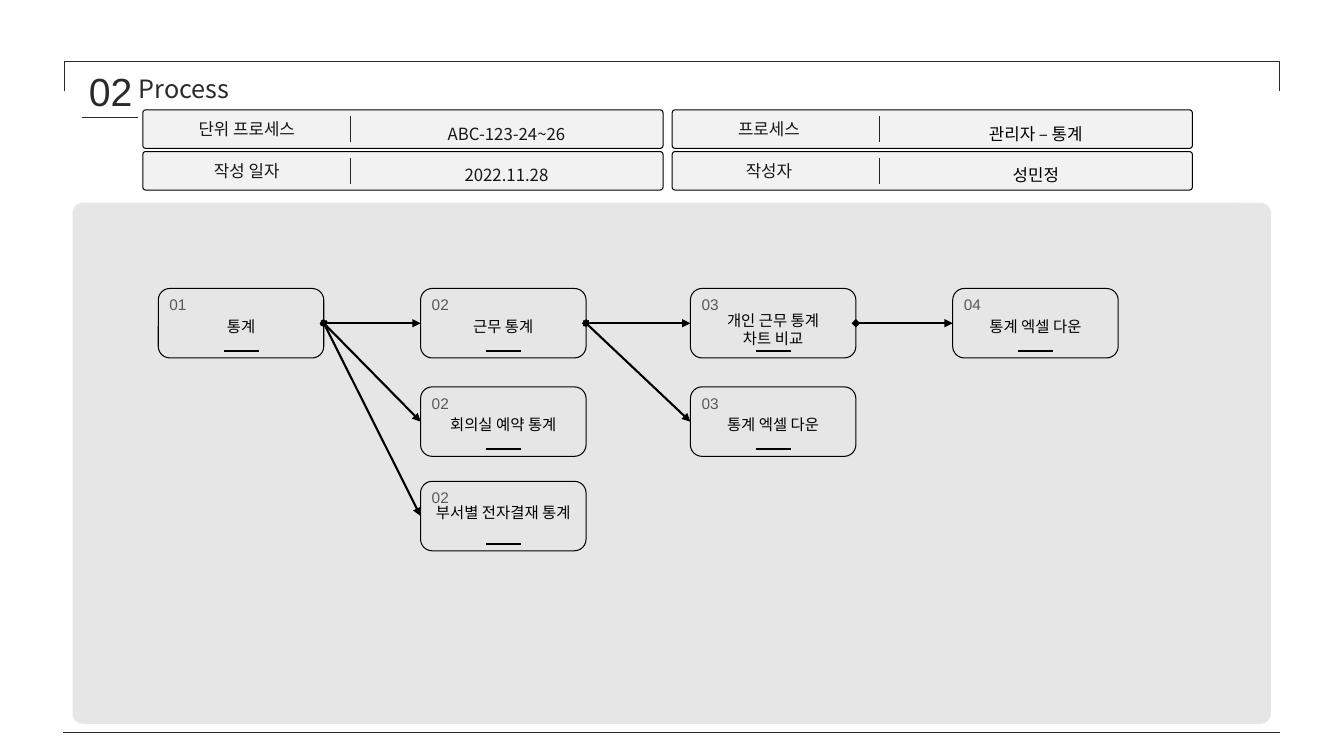
from lxml.etree import SubElement
from pptx import Presentation
from pptx.dml.color import RGBColor
from pptx.enum.shapes import MSO_CONNECTOR, MSO_SHAPE
from pptx.enum.text import MSO_ANCHOR, MSO_AUTO_SIZE, PP_ALIGN
from pptx.oxml.ns import qn
from pptx.util import Cm, Pt

BLACK = RGBColor(0x00, 0x00, 0x00)
INK = RGBColor(0x2A, 0x2A, 0x2A)
LABEL_INK = RGBColor(0x18, 0x17, 0x17)
DIVIDER = RGBColor(0x24, 0x24, 0x24)
NUMBER_GREY = RGBColor(0x59, 0x59, 0x59)
PANEL_GREY = RGBColor(0xE7, 0xE6, 0xE6)
CELL_GREY = RGBColor(0xF2, 0xF2, 0xF2)

HANGUL = "Noto Sans CJK KR"
LATIN = "Arial"
INSETS = (0.25, 0.13, 0.25, 0.13)
RIGHT_SITE, LEFT_SITE = 3, 1


class ProcessSlide:
    """Draws on one slide; all lengths are in centimetres."""

    def __init__(self, deck):
        self.slide = deck.slides.add_slide(deck.slide_layouts[5])
        self.shapes = self.slide.shapes

    def fill_text(self, frame, lines, size, font, color, align=PP_ALIGN.LEFT,
                  spacing=1.0, insets=INSETS):
        frame.word_wrap = True
        frame.auto_size = MSO_AUTO_SIZE.SHAPE_TO_FIT_TEXT
        frame.vertical_anchor = MSO_ANCHOR.TOP
        (frame.margin_left, frame.margin_top,
         frame.margin_right, frame.margin_bottom) = map(Cm, insets)
        for index, line in enumerate(lines):
            paragraph = frame.add_paragraph() if index else frame.paragraphs[0]
            paragraph.alignment = align
            paragraph.line_spacing = spacing
            run = paragraph.add_run()
            run.text = line
            run.font.size = Pt(size)
            run.font.name = font
            run.font.color.rgb = color
            SubElement(run.font._element, qn("a:ea"), typeface=HANGUL)

    def title(self, text, x, y, w, h):
        heading = self.shapes.title
        heading.left, heading.top, heading.width, heading.height = map(Cm, (x, y, w, h))
        self.fill_text(heading.text_frame, [text], 18, HANGUL, INK,
                       insets=(0.1, 0.05, 0.3, 0.05))

    def text(self, lines, x, y, w, h, *style, **options):
        box = self.shapes.add_textbox(*map(Cm, (x, y, w, h)))
        self.fill_text(box.text_frame, lines, *style, **options)

    def shape(self, kind, x, y, w, h, fill=None, line=None, adjust=None):
        outline = self.shapes.add_shape(kind, *map(Cm, (x, y, w, h)))
        outline.shadow.inherit = False
        if adjust is not None:
            outline.adjustments[0] = adjust
        if fill is None:
            outline.fill.background()
        else:
            outline.fill.solid()
            outline.fill.fore_color.rgb = fill
        if line is None:
            outline.line.fill.background()
        else:
            outline.line.color.rgb = line
            outline.line.width = Pt(0.75)
        return outline

    def line(self, x1, y1, x2, y2, color=INK, width=0.75):
        rule = self.shapes.add_connector(MSO_CONNECTOR.STRAIGHT,
                                         *map(Cm, (x1, y1, x2, y2)))
        rule.line.color.rgb = color
        rule.line.width = Pt(width)
        SubElement(rule._element.spPr, qn("a:effectLst"))
        return rule

    def arrow(self, source, target):
        link = self.line(0, 0, 1, 1, BLACK, 1.5)
        link.begin_connect(source, RIGHT_SITE)
        link.end_connect(target, LEFT_SITE)
        stroke = link._element.spPr.find(qn("a:ln"))
        SubElement(stroke, qn("a:headEnd"), type="diamond")
        SubElement(stroke, qn("a:tailEnd"), type="triangle")

    def info_cell(self, x, y, label, value, label_dx, value_color):
        self.shape(MSO_SHAPE.ROUNDED_RECTANGLE, x, y, 13.11, 0.97,
                   CELL_GREY, BLACK, 0.075)
        self.text([label], x + label_dx, y + 0.02, 4.22, 0.84, 12, HANGUL,
                  LABEL_INK, align=PP_ALIGN.CENTER, spacing=1.14)
        self.line(x + 5.23, y + 0.15, x + 5.23, y + 0.82, DIVIDER)
        self.text([value], x + 5.57, y + 0.06, 7.19, 0.91, 12, HANGUL,
                  value_color, align=PP_ALIGN.CENTER, spacing=1.3)

    def step(self, x, y, number, lines, text_dy):
        box = self.shape(MSO_SHAPE.ROUNDED_RECTANGLE, x, y, 4.17, 1.75, line=BLACK)
        self.text([number], x + 0.03, y + 0.04, 1.55, 0.74, 11, LATIN, NUMBER_GREY)
        self.line(x + 1.65, y + 1.57, x + 2.53, y + 1.57, BLACK, 1.5)
        self.text(lines, x, y + text_dy, 4.17, 0.74, 11, LATIN, BLACK,
                  align=PP_ALIGN.CENTER)
        return box


def main():
    deck = Presentation()
    deck.slide_width, deck.slide_height = Cm(33.87), Cm(19.05)
    page = ProcessSlide(deck)

    # Panel and page frame
    page.shape(MSO_SHAPE.ROUNDED_RECTANGLE, 1.83, 5.11, 30.2, 13.13,
               PANEL_GREY, adjust=0.02)
    frame_top = page.shape(MSO_SHAPE.RIGHT_BRACKET, 16.56, -13.39, 0.76, 30.63,
                           line=INK, adjust=0)
    frame_top.rotation = 270
    page.line(1.6, 18.47, 32.26, 18.47)

    # Heading
    page.title("Process", 3.4, 1.8, 3.2, 0.86)
    page.text(["02"], 2.24, 1.7, 1.24, 2.01, 28, LATIN, INK, insets=(0, 0, 0, 0))
    page.line(2.06, 2.97, 3.48, 2.97)

    # Document facts: two columns of two cells
    fact_columns = [
        (3.6, 0.51, LABEL_INK, [("단위 프로세스", "ABC-123-24~26"),
                                ("작성 일자", "2022.11.28")]),
        (16.94, 0.33, BLACK, [("프로세스", "관리자 – 통계"),
                              ("작성자", "성민정")]),
    ]
    for x, label_dx, value_color, facts in fact_columns:
        for row, (label, value) in enumerate(facts):
            page.info_cell(x, 2.77 + 1.05 * row, label, value, label_dx, value_color)

    # Process steps: column, row, lines, text offset
    column_x = [3.99, 10.6, 17.4, 24.01]
    row_y = [7.27, 9.75, 12.13]
    steps = {
        "stats": (0, 0, ["통계"], 0.58),
        "work": (1, 0, ["근무 통계"], 0.58),
        "rooms": (1, 1, ["회의실 예약 통계"], 0.58),
        "approvals": (1, 2, ["부서별 전자결재 통계"], 0.43),
        "chart": (2, 0, ["개인 근무 통계", "차트 비교"], 0.43),
        "work_excel": (2, 1, ["통계 엑셀 다운"], 0.58),
        "chart_excel": (3, 0, ["통계 엑셀 다운"], 0.58),
    }
    boxes = {
        key: page.step(column_x[column], row_y[row], f"{column + 1:02}", lines, text_dy)
        for key, (column, row, lines, text_dy) in steps.items()
    }

    # Flow between steps
    flow = {"stats": ["work", "rooms", "approvals"],
            "work": ["chart", "work_excel"],
            "chart": ["chart_excel"]}
    for source, targets in flow.items():
        for target in targets:
            page.arrow(boxes[source], boxes[target])

    deck.save("out.pptx")


if __name__ == "__main__":
    main()
